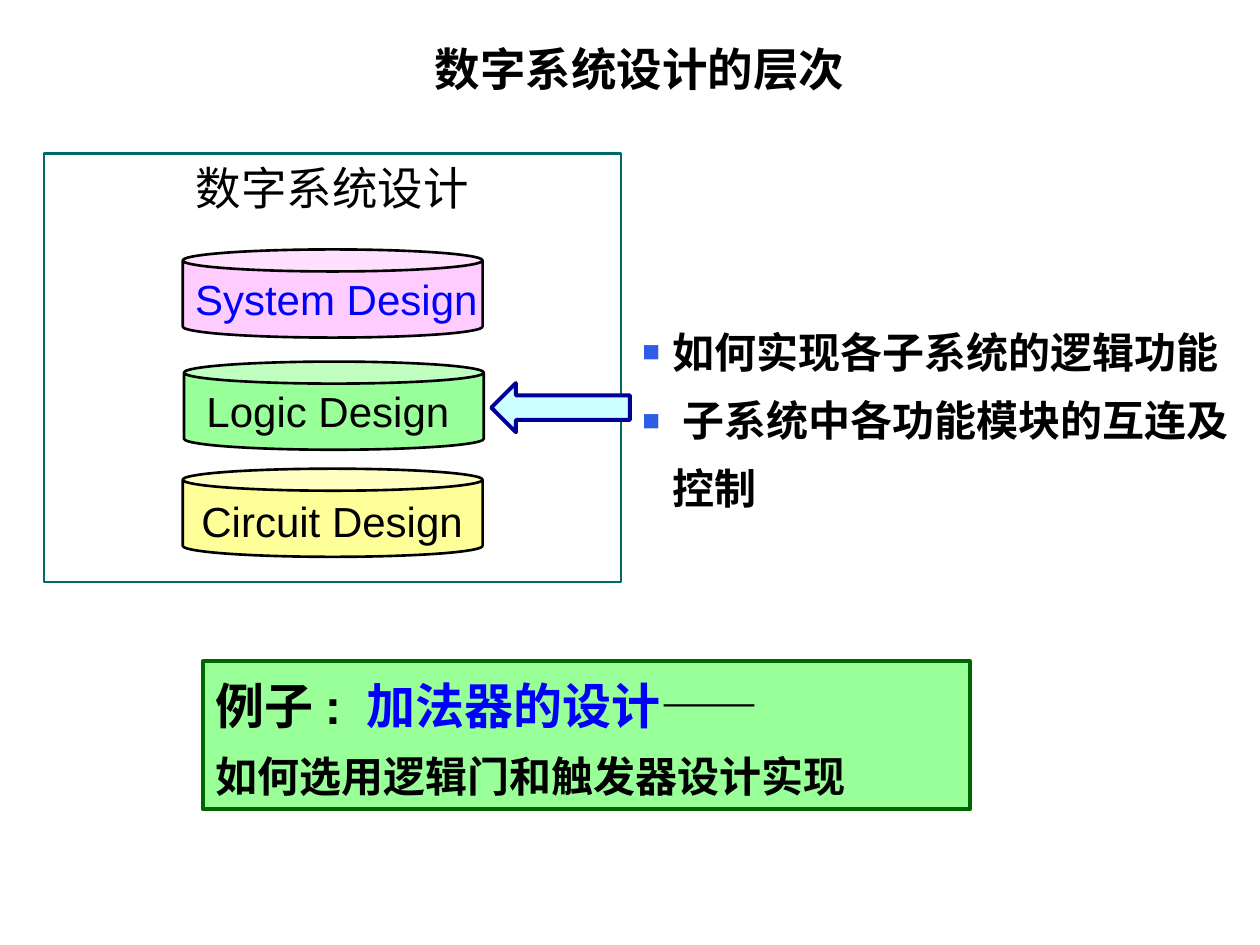
from dataclasses import dataclass

from lxml.etree import SubElement
from pptx import Presentation
from pptx.dml.color import RGBColor
from pptx.enum.shapes import MSO_SHAPE
from pptx.enum.text import MSO_ANCHOR, PP_ALIGN
from pptx.oxml.ns import qn
from pptx.util import Inches, Pt

COLORS = {
    "black": "000000", "blue": "0000FF", "navy": "000099", "teal": "006A6A",
    "forest": "006600", "green": "99FF99", "pink": "FFCCFF",
    "yellow": "FFFF99", "cyan": "CCFFFF", "bullet": "2D5CE7",
}


@dataclass
class Span:
    text: str
    size: float
    color: str = "black"
    bold: bool = False
    font: str = "Arial"


@dataclass
class Frame:
    left: float
    top: float
    width: float
    height: float

    def lengths(self) -> list:
        return [Inches(n) for n in (self.left, self.top, self.width, self.height)]


@dataclass
class Level:
    name: str
    can: Frame
    label: Frame
    fill: str
    color: str = "black"


LEVELS = [
    Level("System Design", Frame(1.45, 1.98, 2.38, 0.7), Frame(1.45, 2.12, 2.46, 0.51), "pink", "blue"),
    Level("Logic Design", Frame(1.46, 2.87, 2.38, 0.7), Frame(1.54, 3.01, 2.31, 0.51), "green"),
    Level("Circuit Design", Frame(1.45, 3.72, 2.38, 0.7), Frame(1.5, 3.88, 2.46, 0.51), "yellow"),
]
EXAMPLE = [
    [Span("例子: ", 28, bold=True), Span("加法器的设计", 28, "blue", True), Span("——", 28, bold=True)],
    [Span("如何选用逻辑门和触发器设计实现", 24, bold=True)],
]
QUESTIONS = [
    [Span("如何实现各子系统的逻辑功能", 24, bold=True)],
    [Span(" 子系统中各功能模块的互连及控制", 24, bold=True)],
]
TITLE = [[Span("数字系统设计的层次", 26, bold=True), Span(" ", 24, font="Times New Roman")]]


def rgb(name: str) -> RGBColor:
    return RGBColor.from_string(COLORS[name])


def add_bullet(paragraph) -> None:
    """Give a paragraph a hanging square bullet."""
    properties = paragraph._p.get_or_add_pPr()
    properties.set("marL", str(Inches(0.24)))
    properties.set("indent", str(-Inches(0.24)))
    color = SubElement(properties, qn("a:buClr"))
    SubElement(color, qn("a:srgbClr"), val=COLORS["bullet"])
    SubElement(properties, qn("a:buSzPct"), val="70000")
    SubElement(properties, qn("a:buFont"), typeface="Arial")
    SubElement(properties, qn("a:buChar"), char="■")


def write(box, lines: list[list[Span]], align=PP_ALIGN.LEFT, spacing=None, bullets=False) -> None:
    """Fill a box with paragraphs of formatted spans."""
    frame = box.text_frame
    frame.word_wrap = True
    frame.vertical_anchor = MSO_ANCHOR.TOP
    for index, line in enumerate(lines):
        paragraph = frame.add_paragraph() if index else frame.paragraphs[0]
        if bullets:
            add_bullet(paragraph)
        paragraph.alignment = align
        if spacing:
            paragraph.line_spacing = Pt(spacing)
        for span in line:
            run = paragraph.add_run()
            run.text = span.text
            run.font.size = Pt(span.size)
            run.font.name = span.font
            run.font.bold = span.bold
            run.font.color.rgb = rgb(span.color)


def add_text(shapes, frame: Frame, lines: list[list[Span]], **style) -> None:
    write(shapes.add_textbox(*frame.lengths()), lines, **style)


def add_figure(shapes, kind, frame: Frame, fill: str | None, line: str, weight: float):
    """Add an outlined preset shape, filled when a fill is named."""
    shape = shapes.add_shape(kind, *frame.lengths())
    shape.shadow.inherit = False
    if fill:
        shape.fill.solid()
        shape.fill.fore_color.rgb = rgb(fill)
    else:
        shape.fill.background()
    shape.line.color.rgb = rgb(line)
    shape.line.width = Pt(weight)
    return shape


def add_levels(shapes) -> None:
    """Draw the framed stack of design levels."""
    panel = add_figure(shapes, MSO_SHAPE.RECTANGLE, Frame(0.35, 1.22, 4.58, 3.4), None, "teal", 1.5)
    write(panel, [[Span("数字系统设计", 26, font="Times New Roman")]], PP_ALIGN.CENTER)
    for level in LEVELS:
        can = add_figure(shapes, MSO_SHAPE.CAN, level.can, level.fill, "black", 1.5)
        can.adjustments[0] = 0.25
        add_text(shapes, level.label, [[Span(level.name, 24, level.color)]])


def main() -> None:
    deck = Presentation()
    deck.slide_width, deck.slide_height = Inches(10), Inches(7.5)
    page = deck.slides.add_slide(deck.slide_layouts[6])
    shapes = page.shapes
    example = add_figure(shapes, MSO_SHAPE.RECTANGLE, Frame(1.61, 5.25, 6.09, 1.17), "green", "forest", 2.25)
    write(example, EXAMPLE, spacing=38)
    add_text(shapes, Frame(5, 2.4, 4.88, 1.74), QUESTIONS, spacing=39, bullets=True)
    add_levels(shapes.add_group_shape().shapes)
    add_figure(shapes, MSO_SHAPE.LEFT_ARROW, Frame(3.9, 3.04, 1.1, 0.39), "cyan", "navy", 2.25)
    add_text(shapes, Frame(1.06, 0.28, 8.11, 0.54), TITLE, align=PP_ALIGN.CENTER)
    deck.save("out.pptx")


if __name__ == "__main__":
    main()
